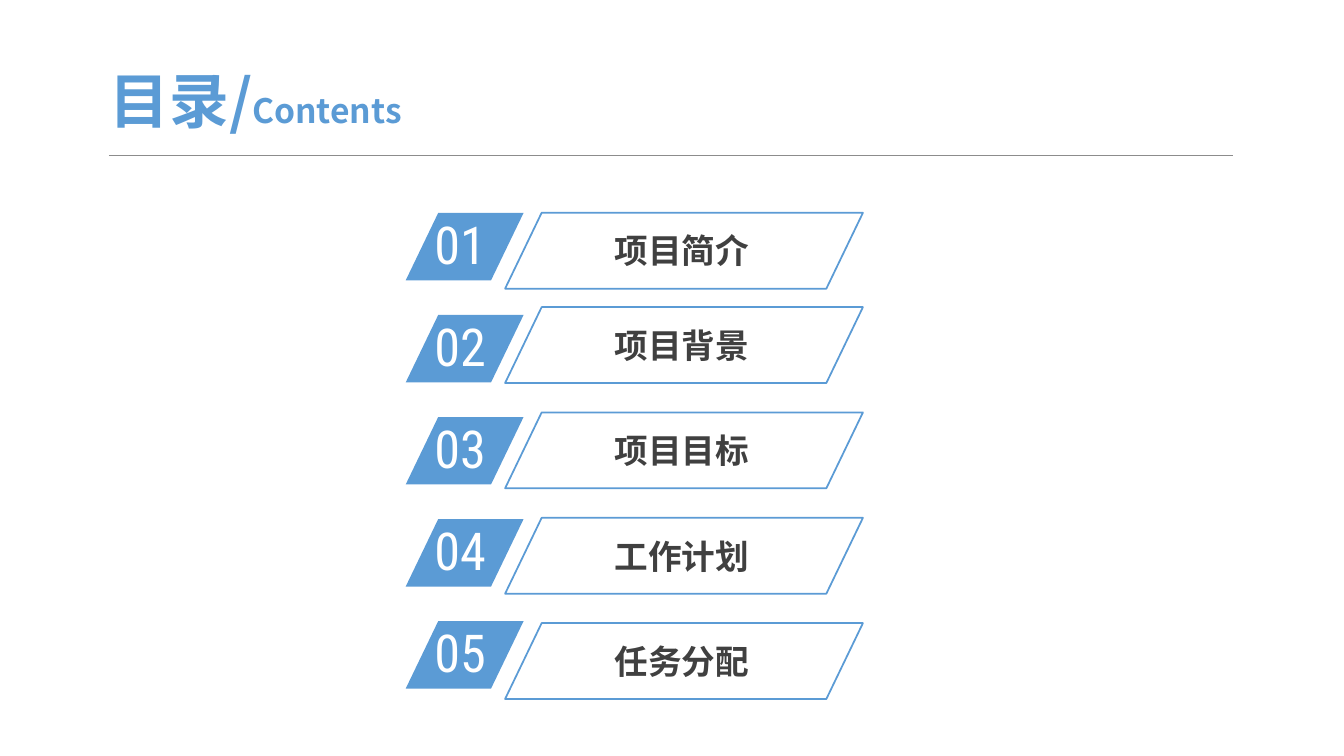
from pptx import Presentation
from pptx.dml.color import RGBColor
from pptx.enum.shapes import MSO_CONNECTOR as Connector, MSO_SHAPE as Preset
from pptx.enum.text import MSO_ANCHOR as Anchor, PP_ALIGN as Align
from pptx.oxml.ns import qn
from pptx.util import Pt
from lxml.etree import SubElement

TITLE, SUBTITLE = "目录/", "Contents"
# chapter and the top of its frame, in points
CHAPTERS = [
    ("项目简介", 152),
    ("项目背景", 219.4),
    ("项目目标", 294.6),
    ("工作计划", 369.9),
    ("任务分配", 445.1),
]

BLUE, GRAY = RGBColor(0x5B, 0x9B, 0xD5), RGBColor(0x8C, 0x8C, 0x8C)
CJK, LATIN = "Noto Sans CJK SC", "Roboto Condensed"
THEME = {
    "title": {"name": CJK, "size": Pt(42.7), "bold": True, "color": BLUE},
    "subtitle": {"name": CJK, "size": Pt(24), "bold": True, "color": BLUE},
    "number": {"name": LATIN, "size": Pt(37.3), "bold": False,
               "color": RGBColor(0xFF, 0xFF, 0xFF)},
    "chapter": {"name": CJK, "size": Pt(24), "bold": True,
                "color": RGBColor(0x40, 0x40, 0x40)},
    "accent": BLUE,
    "rule": GRAY,
}

SLANT = 0.482
BADGE_TOP, BADGE_STEP = 152.1, 72.9
NUMBER_RISE, CHAPTER_DROP = 4.2, 9


def add_text(slide, box, runs, align=Align.LEFT, anchor=Anchor.TOP):
    """Add a text box; runs is a list of (words, style name in THEME)."""
    frame = slide.shapes.add_textbox(*map(Pt, box)).text_frame
    frame.word_wrap = True
    frame.vertical_anchor = anchor
    paragraph = frame.paragraphs[0]
    paragraph.alignment = align
    for words, style in runs:
        run = paragraph.add_run()
        run.text = words
        for key, value in THEME[style].items():
            if key == "color":
                run.font.color.rgb = value
            else:
                setattr(run.font, key, value)
        east_asian = SubElement(run.font._element, qn("a:ea"))
        east_asian.set("typeface", THEME[style]["name"])


def add_parallelogram(slide, box, filled):
    shape = slide.shapes.add_shape(Preset.PARALLELOGRAM, *map(Pt, box))
    shape.adjustments[0] = SLANT
    shape.shadow.inherit = False
    if filled:
        shape.fill.solid()
        shape.fill.fore_color.rgb = THEME["accent"]
        shape.line.fill.background()
    else:
        shape.fill.background()
        shape.line.color.rgb = THEME["accent"]
        shape.line.width = Pt(1.25)


def add_rule(slide, left, right, top):
    rule = slide.shapes.add_connector(
        Connector.STRAIGHT, Pt(left), Pt(top), Pt(right), Pt(top))
    rule.line.color.rgb = THEME["rule"]
    rule.line.width = Pt(0.5)
    SubElement(rule._element.spPr, qn("a:effectLst"))


def main():
    deck = Presentation()
    deck.slide_width, deck.slide_height = Pt(960), Pt(540)
    slide = deck.slides.add_slide(deck.slide_layouts[6])

    add_text(slide, (64.1, 45.4, 236.9, 51.8),
             [(TITLE, "title"), (SUBTITLE, "subtitle")],
             Align.CENTER, Anchor.MIDDLE)
    add_rule(slide, 77.8, 880.6, 111.3)

    for index, (chapter, frame_top) in enumerate(CHAPTERS):
        badge_top = BADGE_TOP + index * BADGE_STEP
        add_parallelogram(slide, (289.8, badge_top, 84.2, 48.2), True)
        add_text(slide, (303.1, badge_top - NUMBER_RISE, 80.6, 52.6),
                 [(f"{index + 1:02}", "number")])
        add_text(slide, (432, frame_top + CHAPTER_DROP, 124.6, 36),
                 [(chapter, "chapter")])
        add_parallelogram(slide, (360.8, frame_top, 255.6, 54.2), False)

    deck.save("out.pptx")


if __name__ == "__main__":
    main()
